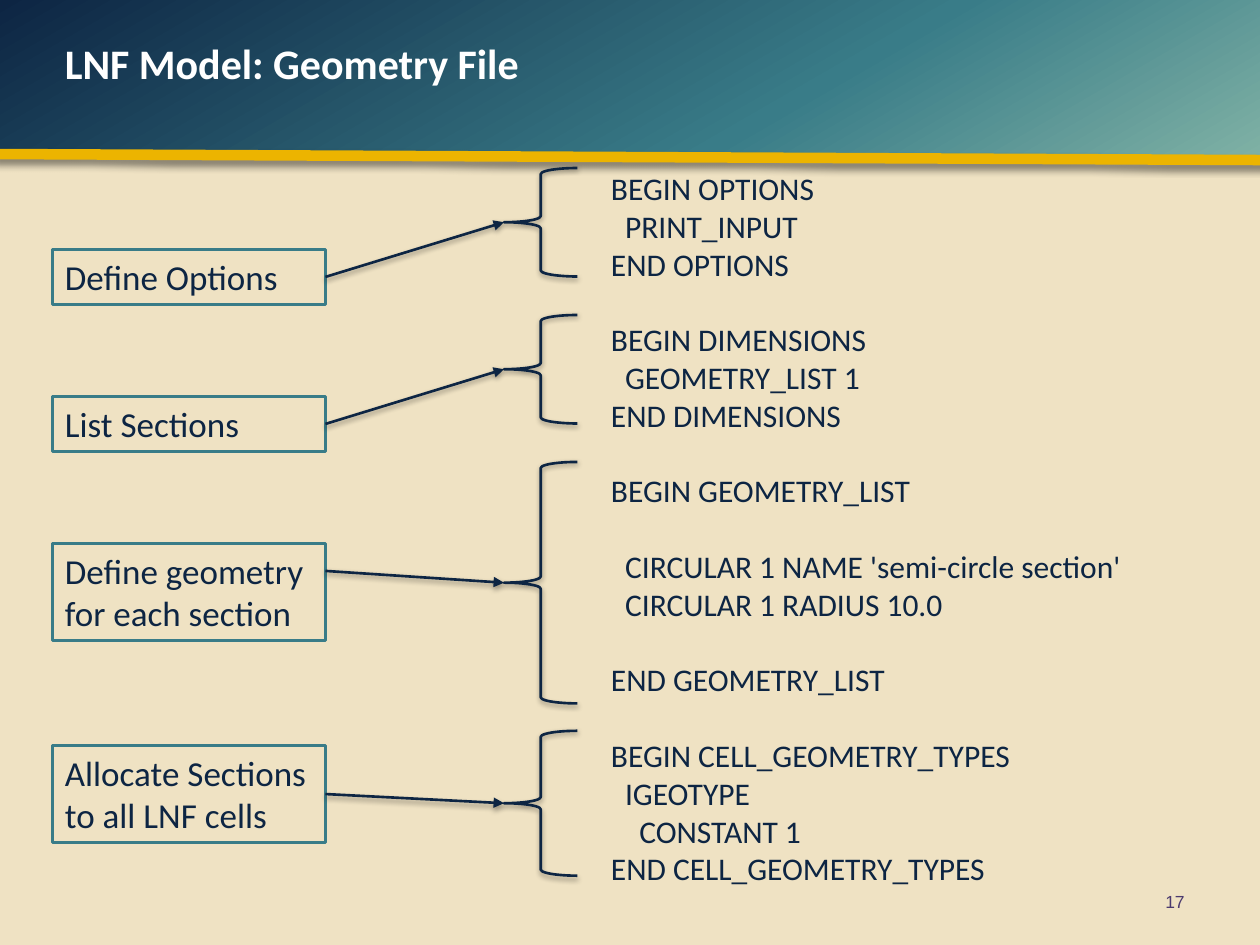
from lxml.etree import SubElement
from pptx import Presentation
from pptx.dml.color import RGBColor
from pptx.enum.shapes import MSO_CONNECTOR, MSO_SHAPE
from pptx.enum.text import MSO_ANCHOR, PP_ALIGN
from pptx.oxml import parse_xml
from pptx.oxml.ns import nsdecls, qn
from pptx.util import Pt

NAVY = RGBColor(0x0D, 0x25, 0x43)
TEAL = RGBColor(0x39, 0x7C, 0x88)
GOLD = RGBColor(0xEC, 0xB4, 0x00)
SAND = RGBColor(0xEF, 0xE2, 0xC3)
PURPLE = RGBColor(0x4B, 0x3A, 0x6E)
WHITE = RGBColor(0xFF, 0xFF, 0xFF)

BOX_LEFT, BOX_WIDTH = 30, 156
BRACE_LEFT, BRACE_WIDTH = 288, 42
LINE_PITCH = 21.6
CODE_INDENT = 8.1

# Label, box top, box height, arrow start, brace top, brace height
SECTIONS = [
    ("Define Options", 142.5, 31.5, 158.25, 96, 62),
    ("List Sections", 226.5, 31.5, 242.25, 180, 62),
    ("Define geometry for each section", 310.5, 55.5, 326.25, 264, 138),
    ("Allocate Sections to all LNF cells", 426, 55.5, 453.75, 417.6, 82.8),
]

# Blank lines before, indent level, code
CODE = [
    (0, 0, "BEGIN OPTIONS"),
    (0, 1, "PRINT_INPUT"),
    (0, 0, "END OPTIONS"),
    (1, 0, "BEGIN DIMENSIONS"),
    (0, 1, "GEOMETRY_LIST 1"),
    (0, 0, "END DIMENSIONS"),
    (1, 0, "BEGIN GEOMETRY_LIST"),
    (1, 1, "CIRCULAR 1 NAME 'semi-circle section'"),
    (0, 1, "CIRCULAR 1 RADIUS 10.0"),
    (1, 0, "END GEOMETRY_LIST"),
    (1, 0, "BEGIN CELL_GEOMETRY_TYPES"),
    (0, 1, "IGEOTYPE"),
    (0, 2, "CONSTANT 1"),
    (0, 0, "END CELL_GEOMETRY_TYPES"),
]


def style_line(shape, color, width, blur, distance, angle, opacity):
    """Set the line of a shape or connector and give it a soft shadow."""
    shape.line.color.rgb = color
    shape.line.width = Pt(width)
    properties = shape._element.spPr
    for effects in properties.findall(qn("a:effectLst")):
        properties.remove(effects)
    properties.append(parse_xml(
        f'<a:effectLst {nsdecls("a")}><a:outerShdw blurRad="{Pt(blur)}" '
        f'dist="{Pt(distance)}" dir="{angle * 60000}" rotWithShape="0">'
        f'<a:srgbClr val="000000"><a:alpha val="{opacity * 1000}"/></a:srgbClr>'
        '</a:outerShdw></a:effectLst>'))


def write(paragraph, text, size, color, font="Calibri", bold=False):
    """Fill a left-aligned paragraph with text in one font."""
    paragraph.text = text
    paragraph.alignment = PP_ALIGN.LEFT
    paragraph.font.name = font
    paragraph.font.size = Pt(size)
    paragraph.font.bold = bold
    paragraph.font.color.rgb = color


presentation = Presentation()
presentation.slide_width = Pt(720)
presentation.slide_height = Pt(540)
slide = presentation.slides.add_slide(presentation.slide_layouts[6])
slide.background.fill.solid()
slide.background.fill.fore_color.rgb = SAND
shapes = slide.shapes

# Header band with its gold rule
header = shapes.add_shape(MSO_SHAPE.RECTANGLE, Pt(0), Pt(0), Pt(725), Pt(90))
header.shadow.inherit = False
header.line.fill.background()
header.fill.background()
header_properties = header._element.spPr
header_properties.replace(header_properties.find(qn("a:noFill")), parse_xml(
    f'<a:gradFill {nsdecls("a")}><a:gsLst>'
    f'<a:gs pos="0"><a:srgbClr val="{NAVY}"/></a:gs>'
    f'<a:gs pos="63000"><a:srgbClr val="{TEAL}"/></a:gs>'
    '<a:gs pos="100000"><a:srgbClr val="80B2A5"/></a:gs>'
    '</a:gsLst><a:lin ang="3600000" scaled="0"/></a:gradFill>'))

gold_rule = shapes.add_connector(
    MSO_CONNECTOR.STRAIGHT, Pt(-6.5), Pt(88), Pt(726.5), Pt(91.5))
style_line(gold_rule, GOLD, 6, 4, 4, 45, 43)

title = shapes.add_textbox(Pt(30), Pt(18), Pt(282), Pt(57))
title.text_frame.word_wrap = True
write(title.text_frame.paragraphs[0], "LNF Model: Geometry File", 24, WHITE, bold=True)

page_number = shapes.add_textbox(Pt(516), Pt(500.5), Pt(168), Pt(29))
page_number.text_frame.word_wrap = True
page_number.text_frame.vertical_anchor = MSO_ANCHOR.MIDDLE
write(page_number.text_frame.paragraphs[0], "17", 10, PURPLE, "Arial")
page_number.text_frame.paragraphs[0].alignment = PP_ALIGN.RIGHT

# File listing
listing = shapes.add_textbox(Pt(342), Pt(93), Pt(342), Pt(422))
listing.text_frame.word_wrap = True
for index, (blank_lines, level, code) in enumerate(CODE):
    frame = listing.text_frame
    paragraph = frame.add_paragraph() if index else frame.paragraphs[0]
    write(paragraph, code, 18, NAVY)
    paragraph.space_before = Pt(blank_lines * LINE_PITCH)
    paragraph._p.get_or_add_pPr().set("marL", str(Pt(level * CODE_INDENT)))

# Label, arrow and brace for each part of the listing
for label, top, height, arrow_top, brace_top, brace_height in SECTIONS:
    box = shapes.add_shape(
        MSO_SHAPE.RECTANGLE, Pt(BOX_LEFT), Pt(top), Pt(BOX_WIDTH), Pt(height))
    box.shadow.inherit = False
    box.fill.background()
    box.line.color.rgb = TEAL
    box.line.width = Pt(1.5)
    box.text_frame.word_wrap = True
    box.text_frame.vertical_anchor = MSO_ANCHOR.TOP
    write(box.text_frame.paragraphs[0], label, 20, NAVY)

    arrow = shapes.add_connector(
        MSO_CONNECTOR.STRAIGHT, Pt(BOX_LEFT + BOX_WIDTH), Pt(arrow_top),
        Pt(BRACE_LEFT), Pt(brace_top + brace_height / 2))
    style_line(arrow, NAVY, 1.5, 3.1, 1.6, 90, 38)
    SubElement(arrow.line._get_or_add_ln(), qn("a:tailEnd"), type="triangle")

    brace = shapes.add_shape(
        MSO_SHAPE.LEFT_BRACE, Pt(BRACE_LEFT), Pt(brace_top),
        Pt(BRACE_WIDTH), Pt(brace_height))
    brace.fill.background()
    style_line(brace, NAVY, 1.5, 3.1, 1.6, 90, 38)

presentation.save("out.pptx")
